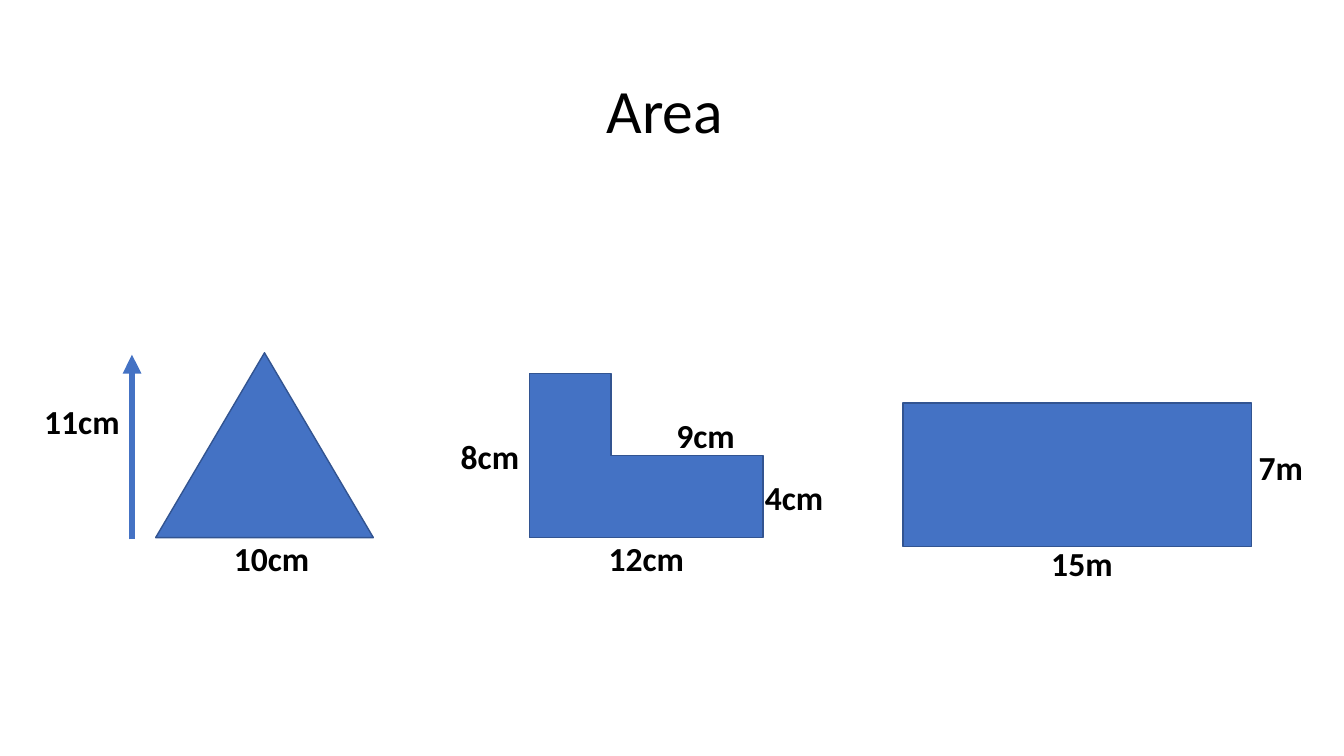
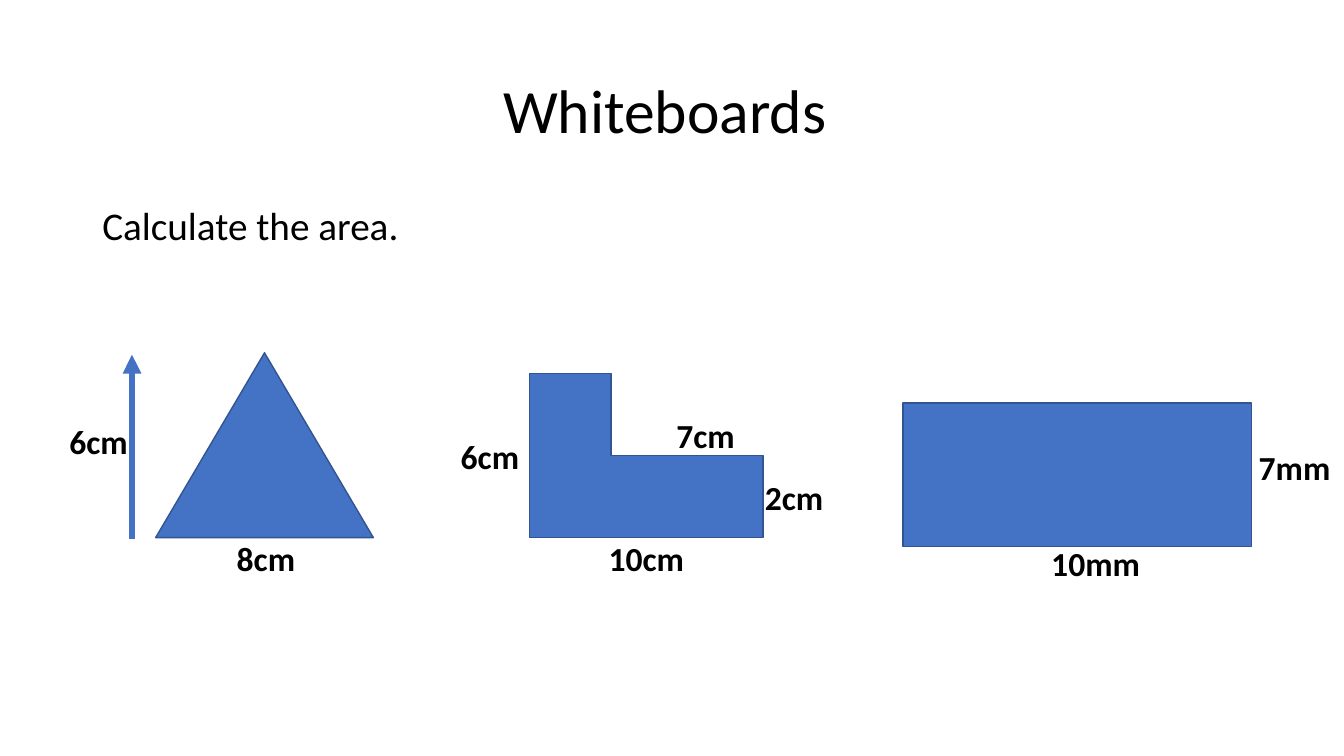
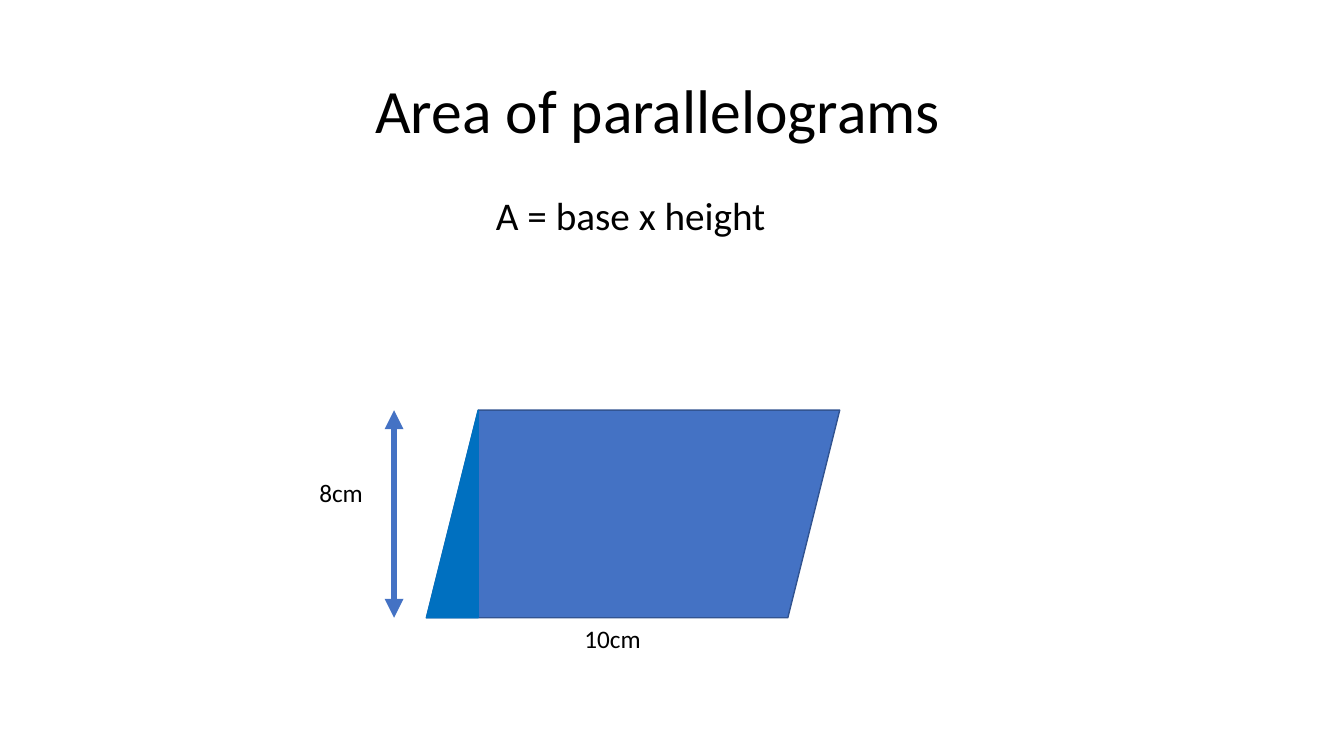
from lxml.etree import SubElement
from pptx import Presentation
from pptx.dml.color import RGBColor
from pptx.enum.shapes import MSO_CONNECTOR, MSO_SHAPE
from pptx.enum.text import MSO_ANCHOR, PP_ALIGN
from pptx.oxml.ns import qn
from pptx.util import Pt

BLUE = RGBColor(0x44, 0x72, 0xC4)
OUTLINE = RGBColor(0x32, 0x54, 0x91)
BRIGHT_BLUE = RGBColor(0x00, 0x70, 0xC0)
BLACK = RGBColor(0, 0, 0)
FONT = "Calibri"
SLIDE_WIDTH = 960


def add_text(slide, text, left, top, width, height, size, bold=False,
             align=PP_ALIGN.LEFT, anchor=MSO_ANCHOR.TOP, spacing=1.0):
    box = slide.shapes.add_textbox(Pt(left), Pt(top), Pt(width), Pt(height))
    frame = box.text_frame
    frame.word_wrap = True
    frame.vertical_anchor = anchor
    paragraph = frame.paragraphs[0]
    paragraph.alignment = align
    paragraph.line_spacing = spacing
    run = paragraph.add_run()
    run.text = text
    run.font.name = FONT
    run.font.size = Pt(size)
    run.font.bold = bold
    run.font.color.rgb = BLACK


def add_figure(slide, preset, left, top, width, height, fill=BLUE, outline=OUTLINE):
    figure = slide.shapes.add_shape(preset, Pt(left), Pt(top), Pt(width), Pt(height))
    figure.shadow.inherit = False
    figure.fill.solid()
    figure.fill.fore_color.rgb = fill
    figure.line.color.rgb = outline
    figure.line.width = Pt(1)
    return figure


deck = Presentation()
deck.slide_width = Pt(SLIDE_WIDTH)
deck.slide_height = Pt(540)

headings = [("Area", 61), ("Whiteboards", 61), ("Area of parallelograms", 56)]
area, whiteboards, parallelograms = [deck.slides.add_slide(deck.slide_layouts[6]) for _ in headings]
for slide, (heading, left) in zip(deck.slides, headings):
    add_text(slide, heading, left, 28.75, 828, 104.4, 44,
             align=PP_ALIGN.CENTER, anchor=MSO_ANCHOR.MIDDLE, spacing=0.9)

add_text(whiteboards, "Calculate the area.", 66, 144, 828, 343, 28, spacing=0.9)

practice_figures = [
    (MSO_SHAPE.ISOSCELES_TRIANGLE, 111.2, 252, 155.5, 132),
    (MSO_SHAPE.CORNER, 378, 267, 167, 117),
    (MSO_SHAPE.RECTANGLE, 645, 288, 249, 102.6),
]
compound_and_rectangle_places = [
    (427.7, 381), (476, 293), (322, 307.5), (539.3, 337), (743.8, 384), (892, 316),
]
practice_sets = [
    (area, [(160, 381), (24.5, 283)],
     ["10cm", "11cm", "12cm", "9cm", "8cm", "4cm", "15m", "7m"]),
    (whiteboards, [(162, 381), (42.5, 297)],
     ["8cm", "6cm", "10cm", "7cm", "6cm", "2cm", "10mm", "7mm"]),
]
for slide, triangle_places, dimensions in practice_sets:
    for preset, left, top, width, height in practice_figures:
        add_figure(slide, preset, left, top, width, height)
    places = triangle_places + compound_and_rectangle_places
    for dimension, (left, top) in zip(dimensions, places):
        add_text(slide, dimension, left, top, min(104, SLIDE_WIDTH - left), 36, 24, bold=True)

add_figure(parallelograms, MSO_SHAPE.PARALLELOGRAM, 304.6, 293, 295.2, 148.3)
cut_triangle = add_figure(parallelograms, MSO_SHAPE.RIGHT_TRIANGLE, 304.6, 293, 37, 148.3,
                          BRIGHT_BLUE, BRIGHT_BLUE)
cut_triangle._element.spPr.get_or_add_xfrm().set("flipH", "1")
add_text(parallelograms, "10cm", 410.4, 441.4, 121, 29, 18)
add_text(parallelograms, "8cm", 221, 337.5, 121, 29, 18)
add_text(parallelograms, "A = base x height", 314.5, 133.2, 272, 41, 28, align=PP_ALIGN.CENTER)

height_arrows = [
    (area, 94.3, 385.2, 253.4, ["tailEnd"]),
    (whiteboards, 94.3, 385.2, 253.4, ["tailEnd"]),
    (parallelograms, 281.5, 441.3, 293, ["headEnd", "tailEnd"]),
]
for slide, x, bottom, top, ends in height_arrows:
    arrow = slide.shapes.add_connector(MSO_CONNECTOR.STRAIGHT, Pt(x), Pt(bottom), Pt(x), Pt(top))
    arrow.line.color.rgb = BLUE
    arrow.line.width = Pt(4.5)
    for end in ends:
        SubElement(arrow.line._get_or_add_ln(), qn(f"a:{end}"), type="triangle")
    SubElement(arrow._element.spPr, qn("a:effectLst"))

deck.save("out.pptx")
